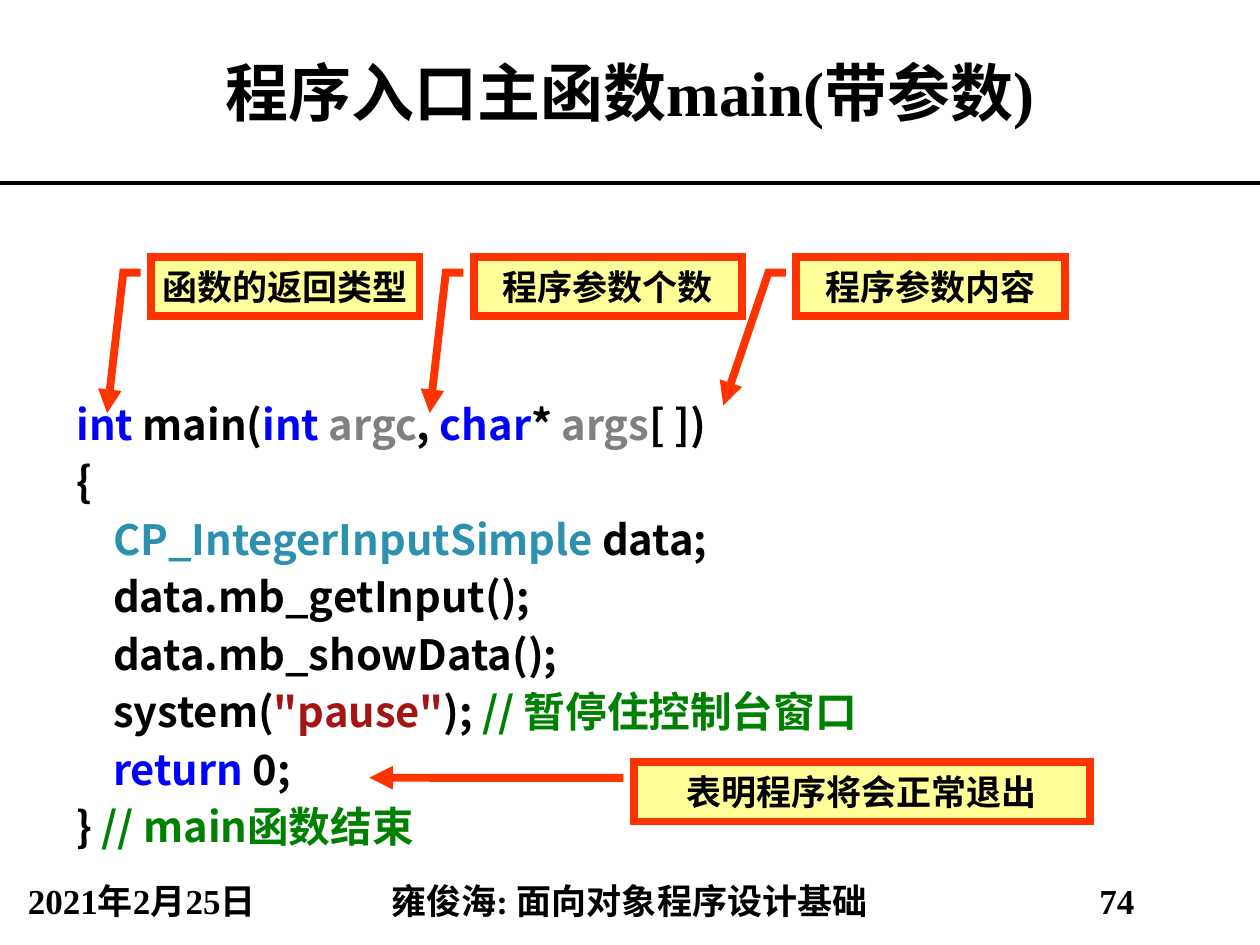
from lxml import etree
from pptx import Presentation
from pptx.dml.color import RGBColor
from pptx.enum.shapes import MSO_CONNECTOR, MSO_SHAPE
from pptx.enum.text import MSO_ANCHOR, PP_ALIGN
from pptx.oxml.ns import qn
from pptx.util import Inches, Pt

CENTER, JUSTIFY = PP_ALIGN.CENTER, PP_ALIGN.JUSTIFY
MIDDLE, TOP = MSO_ANCHOR.MIDDLE, MSO_ANCHOR.TOP
CALLOUT, STRAIGHT = MSO_SHAPE.LINE_CALLOUT_2, MSO_CONNECTOR.STRAIGHT

SERIF, SANS = "Times New Roman", "Noto Sans CJK SC"
COLORS = {
    "text": "000000", "keyword": "0000FF", "parameter": "808080",
    "type": "2B91AF", "string": "A31515", "comment": "008000",
    "note_fill": "FFFF99", "note_line": "FF3300",
}

TITLE = "程序入口主函数main(带参数)"
# Each code line: indent level, then (text, colour) pieces
CODE = [
    (0, [("int", "keyword"), (" main(", "text"), ("int ", "keyword"),
         ("argc", "parameter"), (", ", "text"), ("char", "keyword"),
         ("* ", "text"), ("args", "parameter"), ("[ ])", "text")]),
    (0, [("{", "text")]),
    (1, [("CP_IntegerInputSimple", "type"), (" data;", "text")]),
    (1, [("data.mb_getInput();", "text")]),
    (1, [("data.mb_showData();", "text")]),
    (1, [("system(", "text"), ('"pause"', "string"), ("); ", "text"),
         ("// 暂停住控制台窗口", "comment")]),
    (1, [("return", "keyword"), (" 0;", "text")]),
    (0, [("} ", "text"), ("// main函数结束", "comment")]),
]
# Footer: text, left, width
FOOTER = [
    ("2021年2月25日", 0, 2.25),
    ("雍俊海: 面向对象程序设计基础", 2.25, 5.49),
    ("74", 7.74, 2.25),
]
# Notes: text, left, top, width, leader points as (y, x) shares of the box
TO_CODE = [0.265, -0.039, 0.265, -0.104, 2.636, -0.164]
NOTES = [
    ("函数的返回类型", 1.2, 2.04, 2.13, TO_CODE),
    ("程序参数个数", 3.76, 2.04, 2.13, TO_CODE),
    ("程序参数内容", 6.32, 2.04, 2.13, TO_CODE[:4] + [2.508, -0.272]),
    ("表明程序将会正常退出", 5.03, 6.05, 3.62,
     [0.265, -0.023, 0.265, -0.319, 0.261, -0.58]),
]
TITLE_HEIGHT, NOTE_HEIGHT, FOOTER_TOP, FOOTER_HEIGHT = 1.45, 0.47, 6.95, 0.4
CODE_INDENT = 0.29


def rgb(name):
    return RGBColor.from_string(COLORS[name])


def add_run(paragraph, text, size, font=SERIF, color="text"):
    run = paragraph.add_run()
    run.text = text
    for key, value in {"size": Pt(size), "bold": True, "name": font}.items():
        setattr(run.font, key, value)
    run.font.color.rgb = rgb(color)
    latin = run.font._element.find(qn("a:latin"))
    east_asian = etree.Element(qn("a:ea"), typeface=SANS)
    latin.addnext(east_asian)


def format_paragraph(paragraph, **values):
    for key, value in values.items():
        setattr(paragraph, key, value)


def place(shape, left, top, width, height):
    shape.left, shape.top = Inches(left), Inches(top)
    shape.width, shape.height = Inches(width), Inches(height)


def add_title(slide):
    title = slide.shapes.title
    place(title, 0, 0, 10, TITLE_HEIGHT)
    title.text_frame.vertical_anchor = MIDDLE
    paragraph = title.text_frame.paragraphs[0]
    format_paragraph(paragraph, alignment=CENTER)
    add_run(paragraph, TITLE, 36)

    rule = slide.shapes.add_connector(
        STRAIGHT, 0, Inches(TITLE_HEIGHT), Inches(10), Inches(TITLE_HEIGHT))
    rule.line.color.rgb = rgb("text")
    rule.line.width = Pt(2.25)
    etree.SubElement(rule._element.spPr, qn("a:effectLst"))


def add_text_frame(slide, left, top, width, height, anchor):
    box = slide.shapes.add_textbox(
        Inches(left), Inches(top), Inches(width), Inches(height))
    box.text_frame.word_wrap = True
    box.text_frame.vertical_anchor = anchor
    return box.text_frame


def add_code(slide):
    frame = add_text_frame(slide, 0.51, 3.19, 8.99, 3.76, TOP)
    for number, (level, pieces) in enumerate(CODE):
        line = frame.add_paragraph() if number else frame.paragraphs[0]
        format_paragraph(line, alignment=JUSTIFY, line_spacing=0.8,
                         space_before=Pt(10))
        line._p.get_or_add_pPr().set("marL", str(Inches(CODE_INDENT * level)))
        for text, color in pieces:
            add_run(line, text, 23.8, SANS, color)


def add_footer(slide):
    for text, left, width in FOOTER:
        frame = add_text_frame(
            slide, left, FOOTER_TOP, width, FOOTER_HEIGHT, MIDDLE)
        paragraph = frame.paragraphs[0]
        format_paragraph(paragraph, alignment=CENTER)
        add_run(paragraph, text, 20)


def add_note(slide, text, left, top, width, leader):
    note = slide.shapes.add_shape(CALLOUT, Inches(left), Inches(top),
                                  Inches(width), Inches(NOTE_HEIGHT))
    for index, share in enumerate(leader):
        note.adjustments[index] = share
    note.shadow.inherit = False
    note.fill.solid()
    note.fill.fore_color.rgb = rgb("note_fill")
    note.line.color.rgb = rgb("note_line")
    note.line.width = Pt(4.5)
    outline = note.line._get_or_add_ln()
    etree.SubElement(outline, qn("a:miter"), lim="800000")
    etree.SubElement(outline, qn("a:tailEnd"), type="triangle")
    frame = note.text_frame
    for side in ("left", "top", "right", "bottom"):
        setattr(frame, f"margin_{side}", 0)
    frame.vertical_anchor = MIDDLE
    format_paragraph(frame.paragraphs[0], alignment=CENTER)
    add_run(frame.paragraphs[0], text, 20)


def main():
    deck = Presentation()
    deck.slide_width, deck.slide_height = Inches(10), Inches(7.5)
    slide = deck.slides.add_slide(deck.slide_layouts[5])
    add_title(slide)
    add_code(slide)
    add_footer(slide)
    for note in NOTES:
        add_note(slide, *note)
    deck.save("out.pptx")


if __name__ == "__main__":
    main()
